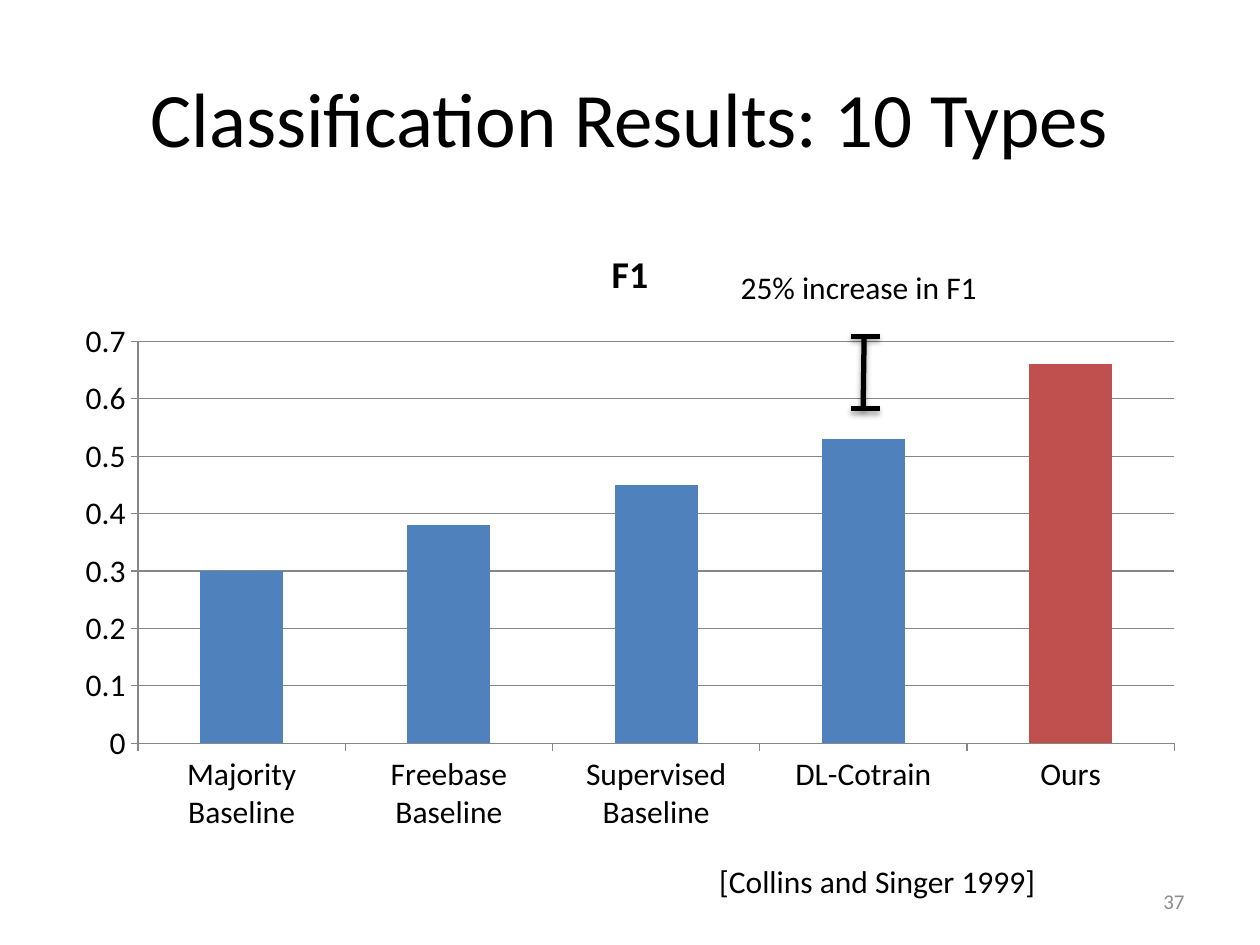
from lxml import etree
from pptx import Presentation
from pptx.chart.data import CategoryChartData
from pptx.dml.color import RGBColor
from pptx.enum.chart import XL_CHART_TYPE, XL_TICK_MARK
from pptx.enum.shapes import MSO_CONNECTOR
from pptx.enum.text import MSO_ANCHOR, PP_ALIGN
from pptx.oxml import parse_xml
from pptx.util import Cm, Pt

COLUMN = XL_CHART_TYPE.COLUMN_CLUSTERED
OUTSIDE = XL_TICK_MARK.OUTSIDE
STRAIGHT = MSO_CONNECTOR.STRAIGHT
TOP, MIDDLE = MSO_ANCHOR.TOP, MSO_ANCHOR.MIDDLE
LEFT, CENTER, RIGHT = PP_ALIGN.LEFT, PP_ALIGN.CENTER, PP_ALIGN.RIGHT

FONT = "Calibri"
COLORS = {"text": "000000", "number": "8C8C8C", "grid": "868686",
          "bar": "4F81BD", "ours": "C0504D"}
RGB = {name: RGBColor.from_string(value) for name, value in COLORS.items()}
DML = "http://schemas.openxmlformats.org/drawingml/2006/main"
SHADOW = (f'<a:effectLst xmlns:a="{DML}">'
          '<a:outerShdw blurRad="40000" dist="23000" dir="5400000" rotWithShape="0">'
          f'<a:srgbClr val="{COLORS["text"]}"><a:alpha val="35000"/></a:srgbClr>'
          '</a:outerShdw></a:effectLst>')


def set_font(font, size, color="text", bold=False):
    values = {"name": FONT, "size": Pt(size), "bold": bold}
    for key, value in values.items():
        setattr(font, key, value)
    font.color.rgb = RGB[color]


prs = Presentation()
prs.slide_width, prs.slide_height = Cm(25.4), Cm(19.05)
s = prs.slides.add_slide(prs.slide_layouts[6])

# Bar chart of F1 scores
data = CategoryChartData()
data.categories = ["Majority Baseline", "Freebase Baseline",
                   "Supervised Baseline", "DL-Cotrain", "Ours"]
data.add_series("F1", [0.3, 0.38, 0.45, 0.53, 0.66])
chart = s.shapes.add_chart(COLUMN, Cm(1.27), Cm(4.45), Cm(22.86), Cm(12.57),
                           data).chart
set_font(chart.font, 18)
chart.has_legend = False
chart.has_title = True
tf = chart.chart_title.text_frame
tf.text = "F1"
set_font(tf.paragraphs[0].runs[0].font, 21.6, bold=True)

plot = chart.plots[0]
plot.gap_width = 150
plot.vary_by_categories = False
series = plot.series[0]
for target, color in ((series, "bar"), (series.points[4], "ours")):
    target.format.fill.solid()
    target.format.fill.fore_color.rgb = RGB[color]

# Axes and gridlines
value_axis = chart.value_axis
value_axis.minimum_scale, value_axis.maximum_scale = 0, 0.7
value_axis.major_unit = 0.1
value_axis.has_major_gridlines = True
for axis in (chart.category_axis, value_axis):
    axis.major_tick_mark = OUTSIDE
for part in (chart.category_axis, value_axis, value_axis.major_gridlines):
    part.format.line.color.rgb = RGB["grid"]
    part.format.line.width = Pt(0.75)

# Title, slide number, citation and annotation
texts = [
    ("Classification Results: 10 Types", 1.27, 0.76, 22.86, 3.18, 44, "text", CENTER, MIDDLE, True),
    ("37", 18.21, 17.65, 5.92, 1.02, 12, "number", RIGHT, MIDDLE, True),
    ("[Collins and Singer 1999]", 14.25, 17.25, 6.96, 1.02, 18, "text", LEFT, TOP, False),
    ("25% increase in F1", 14.68, 5.28, 5.33, 1.02, 18, "text", LEFT, TOP, False),
]
for text, x, y, w, h, size, color, align, anchor, wrap in texts:
    tf = s.shapes.add_textbox(Cm(x), Cm(y), Cm(w), Cm(h)).text_frame
    for key, value in {"word_wrap": wrap, "vertical_anchor": anchor}.items():
        setattr(tf, key, value)
    p = tf.paragraphs[0]
    p.alignment = align
    r = p.add_run()
    r.text = text
    set_font(r.font, size, color)

# Bracket marking the increase: stem, upper cap, lower cap
for x1, y1, x2, y2 in ((17.42, 6.78, 17.4, 8.25),
                       (17.15, 6.78, 17.73, 6.78),
                       (17.15, 8.24, 17.73, 8.24)):
    line = s.shapes.add_connector(STRAIGHT, Cm(x1), Cm(y1), Cm(x2), Cm(y2))
    line.line.color.rgb = RGB["text"]
    line.line.width = Pt(3)
    line._element.spPr.append(parse_xml(etree.tostring(etree.fromstring(SHADOW))))

prs.save("out.pptx")
